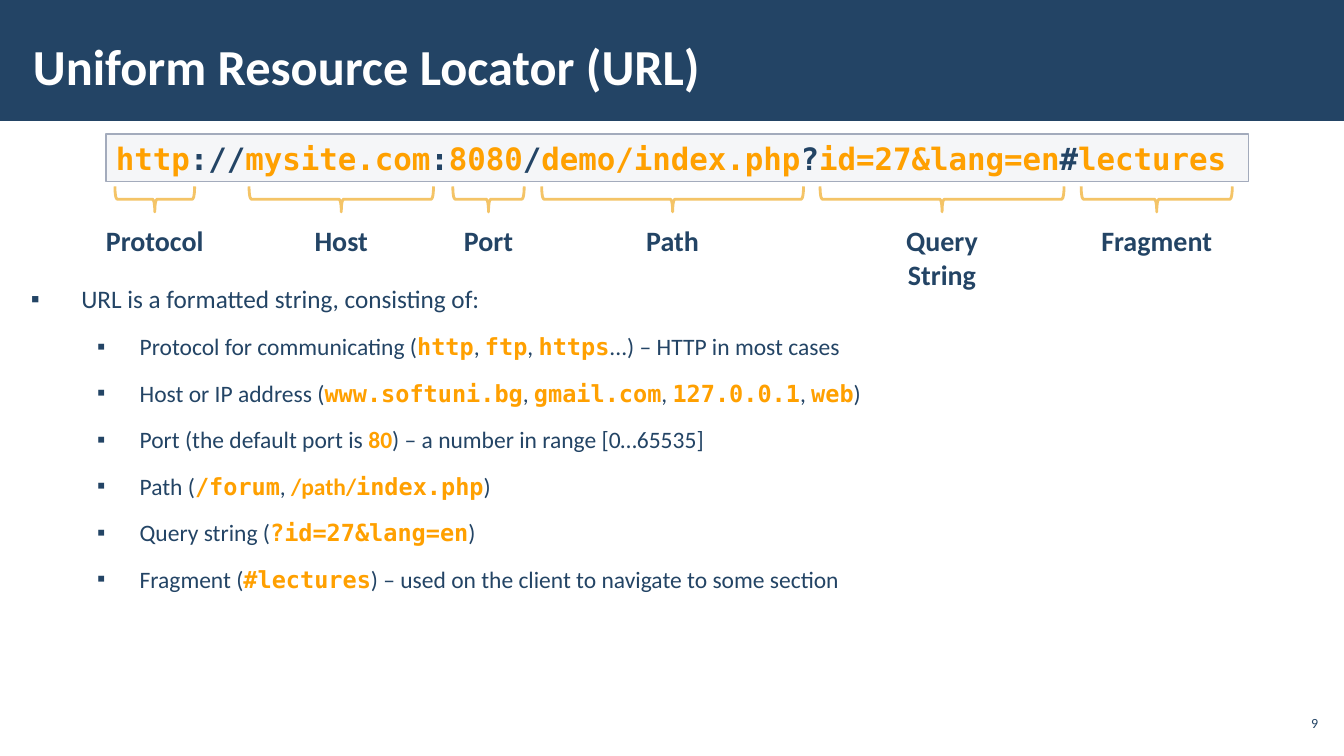
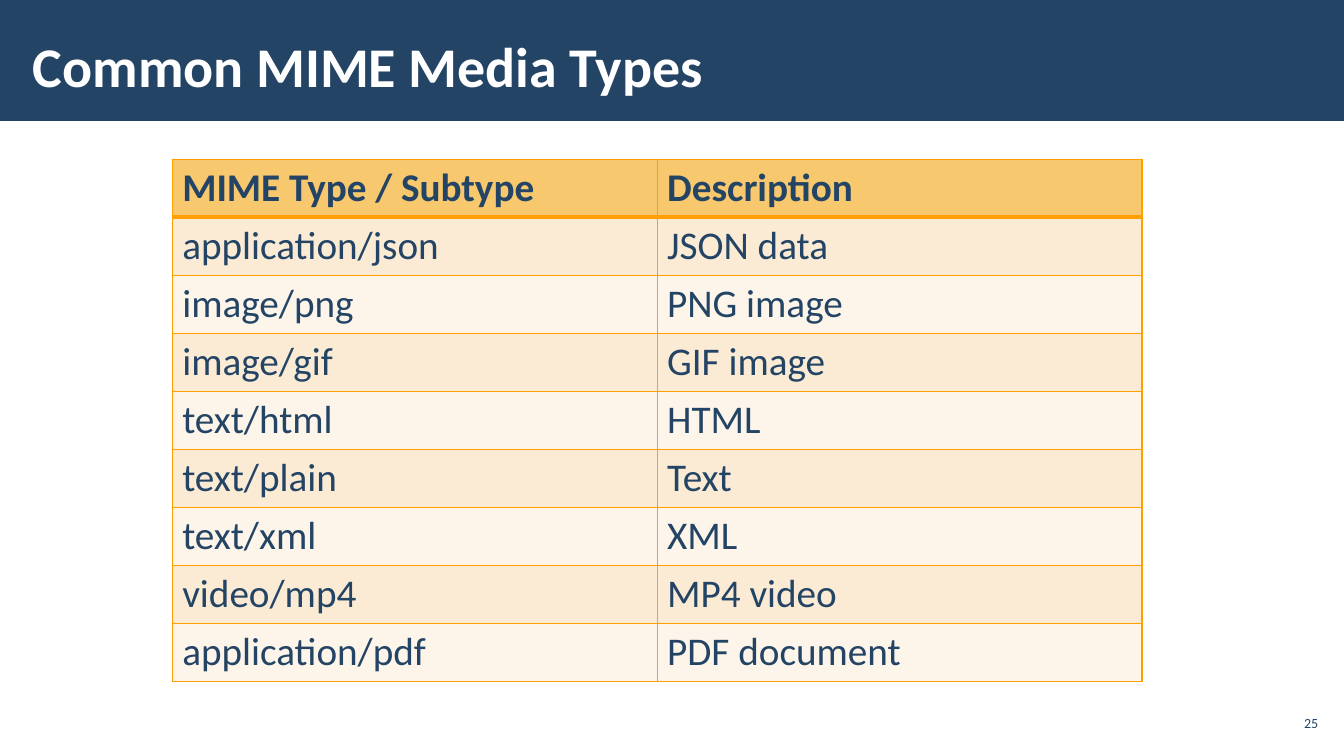
from lxml import etree
from pptx import Presentation
from pptx.dml.color import RGBColor
from pptx.enum.shapes import MSO_SHAPE
from pptx.enum.text import MSO_ANCHOR, MSO_AUTO_SIZE, PP_ALIGN
from pptx.oxml.ns import qn
from pptx.util import Cm, Pt

RECT, BRACE = MSO_SHAPE.RECTANGLE, MSO_SHAPE.RIGHT_BRACE
MIDDLE, FIXED = MSO_ANCHOR.MIDDLE, MSO_AUTO_SIZE.NONE
LEFT, CENTER, RIGHT = PP_ALIGN.LEFT, PP_ALIGN.CENTER, PP_ALIGN.RIGHT
SANS, MONO = "Calibri", "DejaVu Sans Mono"
COLORS = {
    "navy": "234465", "orange": "FFA000", "white": "FFFFFF",
    "brace": "F4C467", "pale": "C2C7D2", "edge": "A3ABBC",
    "head": "F7C86D", "odd": "FBEBD4", "even": "FDF5EA",
}
RGB = {name: RGBColor.from_string(code) for name, code in COLORS.items()}


def put(par, text, size=20, color="navy", bold=False, font=SANS, align=LEFT):
    """Write text; parts between bars are bold orange code."""
    par.alignment = align
    for i, part in enumerate(text.split("|")):
        if not part:
            continue
        accent = i % 2 == 1
        run = par.add_run()
        run.text = part
        face = run.font
        face.size = Pt(size)
        face.bold = bold or accent
        face.color.rgb = RGB["orange" if accent else color]
        face.name = MONO if accent and part not in ("80", "/path/") else font


def fit(shape, left, top, width, height, side=0.25, edge=0.13):
    """Place a text shape, set its margins and return its text frame."""
    shape.left, shape.top = Cm(left), Cm(top)
    shape.width, shape.height = Cm(width), Cm(height)
    frame = shape.text_frame
    frame.word_wrap, frame.auto_size = True, FIXED
    frame.margin_left = frame.margin_right = Cm(side)
    frame.margin_top = frame.margin_bottom = Cm(edge)
    return frame


prs = Presentation()
prs.slide_width, prs.slide_height = Cm(33.87), Cm(19.05)

# Title and page number of each slide
pages = []
for layout, title, size, number in [
    (1, "Uniform Resource Locator (URL)", 36, "9"),
    (5, "Common MIME Media Types", 40, "25"),
]:
    slide = prs.slides.add_slide(prs.slide_layouts[layout])
    frame = fit(slide.shapes.title, 0.53, 0.1, 26.59, 3.07, 0.3, 0.1)
    frame.vertical_anchor = MIDDLE
    put(frame.paragraphs[0], title, size=size, color="white", bold=True)
    box = slide.shapes.add_textbox(0, 0, 0, 0)
    frame = fit(box, 32.13, 17.78, 1.19, 0.86, 0.1, 0.1)
    frame.vertical_anchor = MIDDLE
    put(frame.paragraphs[0], number, size=10, align=RIGHT)
    pages.append(slide)
url, mime = pages

# Title band, moved to the master so that all slides share it
band = url.shapes.add_shape(RECT, 0, 0, prs.slide_width, Cm(3.05))
band.shadow.inherit = False
band.fill.solid()
band.fill.fore_color.rgb = RGB["navy"]
band.line.fill.background()
prs.slide_master.shapes.element.insert(2, band.element)

# Bullet list
frame = fit(url.placeholders[1], 0.53, 6.98, 32.79, 11.68)
for i, text in enumerate([
    "URL is a formatted string, consisting of:",
    "Protocol for communicating (|http|, |ftp|, |https|...) – HTTP in most cases",
    "Host or IP address (|www.softuni.bg|, |gmail.com|, |127.0.0.1|, |web|)",
    "Port (the default port is |80|) – a number in range [0…65535]",
    "Path (|/forum|, |/path/||index.php|)",
    "Query string (|?id=27&lang=en|)",
    "Fragment (|#lectures|) – used on the client to navigate to some section",
]):
    par = frame.add_paragraph() if i else frame.paragraphs[0]
    par.level = min(i, 1)
    props = par._p.get_or_add_pPr()
    margin, indent = (2.74, -1.07) if i else (1.27, -1.27)
    props.set("marL", str(Cm(margin)))
    props.set("indent", str(Cm(indent)))
    tint = etree.SubElement(props, qn("a:buClr"))
    etree.SubElement(tint, qn("a:srgbClr"), val=COLORS["navy"])
    etree.SubElement(props, qn("a:buFont"), typeface="Arial")
    etree.SubElement(props, qn("a:buChar"), char="▪")
    par.line_spacing = 1.05
    par.space_before, par.space_after = Pt(6 if i else 0), Pt(6)
    put(par, text, size=16.8 if i else 18)

# Braces and labels under the parts of the address
thick, axis = 0.64, 5.02
for label, mid, span, width in [
    ("Protocol", 3.9, 2.01, 3.15),
    ("Host", 8.6, 4.65, 2.24),
    ("Port", 12.31, 1.8, 1.85),
    ("Path", 16.95, 6.6, 1.85),
    ("Query String", 23.74, 6.15, 3.99),
    ("Fragment", 29.15, 3.81, 4.24),
]:
    brace = url.shapes.add_shape(
        BRACE, Cm(mid - thick / 2), Cm(axis - span / 2), Cm(thick), Cm(span))
    brace.rotation = 90
    brace.shadow.inherit = False
    brace.fill.background()
    brace.line.color.rgb = RGB["brace"]
    brace.line.width = Pt(2)
    box = url.shapes.add_textbox(0, 0, 0, 0)
    frame = fit(box, mid - width / 2, 5.51, width, 1.93)
    put(frame.paragraphs[0], label, bold=True, align=CENTER)

# Address bar
bar = url.shapes.add_shape(RECT, 0, 0, 0, 0)
bar.shadow.inherit = False
bar.fill.solid()
bar.fill.fore_color.rgb = RGB["pale"]
tint = bar.element.spPr.find(qn("a:solidFill")).find(qn("a:srgbClr"))
etree.SubElement(tint, qn("a:alpha"), val="15000")
bar.line.color.rgb = RGB["edge"]
bar.line.width = Pt(1)
frame = fit(bar, 2.67, 3.38, 28.8, 1.19)
frame.vertical_anchor = MSO_ANCHOR.TOP
put(frame.paragraphs[0],
    "|http|://|mysite.com|:|8080|/|demo/index.php|?|id=27&lang=en|#|lectures|",
    size=22, bold=True, font=MONO)

# Table of media types
rows = [
    ("MIME Type / Subtype", "Description"),
    ("application/json", "JSON data"),
    ("image/png", "PNG image"),
    ("image/gif", "GIF image"),
    ("text/html", "HTML"),
    ("text/plain", "Text"),
    ("text/xml", "XML"),
    ("video/mp4", "MP4 video"),
    ("application/pdf", "PDF document"),
]
high = 1.46
table = mime.shapes.add_table(
    len(rows), 2, Cm(4.34), Cm(4.01), Cm(24.44), Cm(high * len(rows))).table
for r, row in enumerate(rows):
    table.rows[r].height = Cm(high)
    shade = "head" if r == 0 else "odd" if r % 2 else "even"
    for c, text in enumerate(row):
        cell = table.cell(r, c)
        put(cell.text_frame.paragraphs[0], text, size=28, bold=r == 0)
        props = cell._tc.get_or_add_tcPr()
        for side in ("lnL", "lnR", "lnT", "lnB"):
            heavy = (r, side) in ((0, "lnB"), (1, "lnT"))
            line = etree.SubElement(
                props, qn("a:" + side), w=str(Pt(3 if heavy else 0.96)))
            paint = etree.SubElement(line, qn("a:solidFill"))
            etree.SubElement(paint, qn("a:srgbClr"), val=COLORS["orange"])
        cell.fill.solid()
        cell.fill.fore_color.rgb = RGB[shade]

prs.save("out.pptx")
